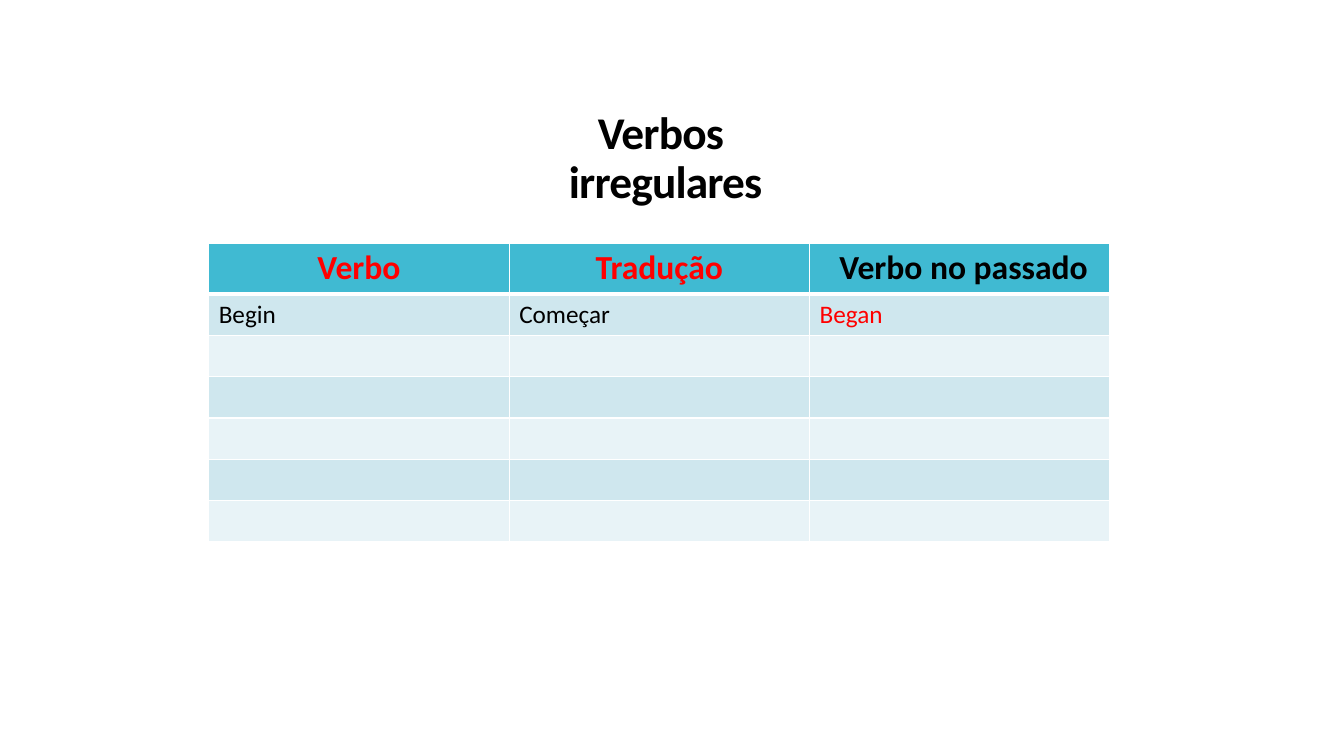
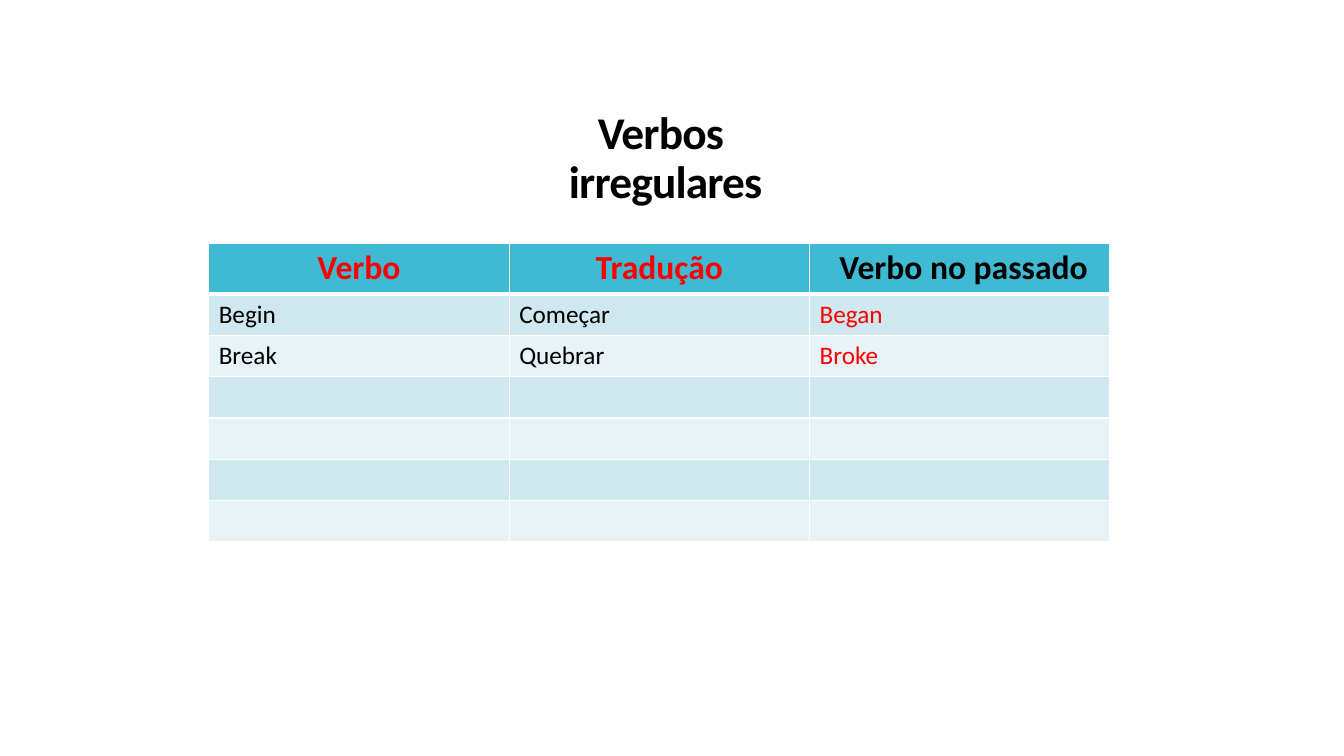
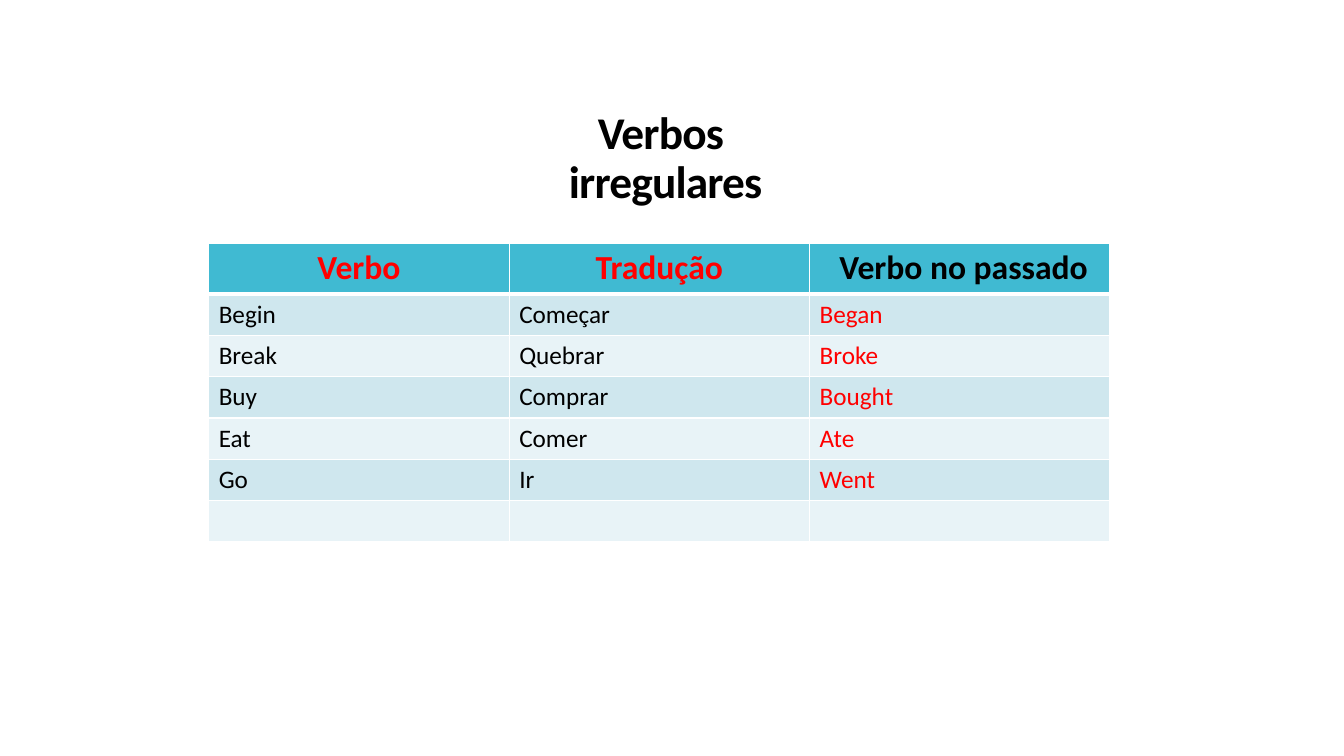
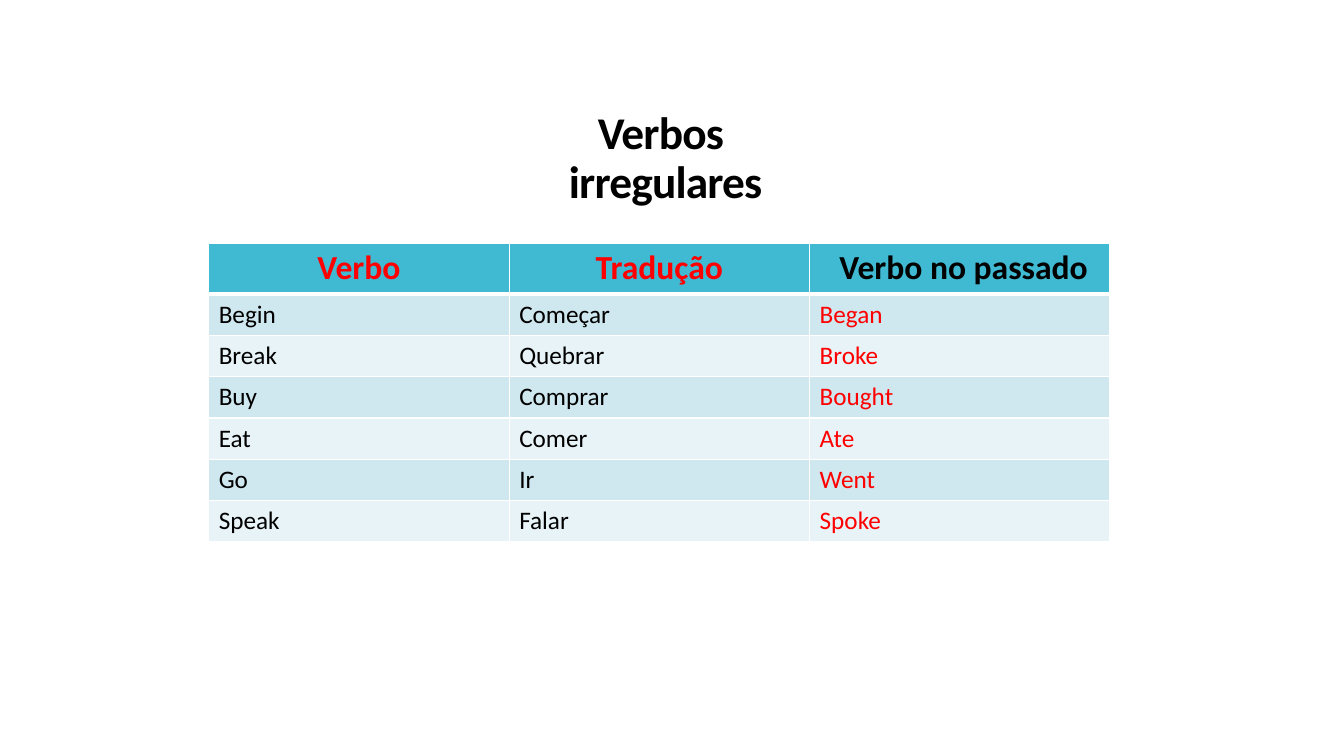
from lxml import etree
from pptx import Presentation
from pptx.dml.color import RGBColor
from pptx.enum import text as t
from pptx.oxml import ns
from pptx.util import Inches, Pt

FONT = "Calibri"
BLACK = RGBColor(0x00, 0x00, 0x00)
RED = RGBColor(0xFF, 0x00, 0x00)
WHITE = RGBColor(0xFF, 0xFF, 0xFF)
TEAL = RGBColor(0x40, 0xBA, 0xD2)
BANDS = [RGBColor(0xE8, 0xF3, 0xF7), RGBColor(0xCF, 0xE7, 0xEE)]

TITLE_LINES = ["Verbos", "\u00a0irregulares"]
HEADINGS = ["Verbo", "Tradução", "\u00a0Verbo\u00a0no passado"]
HEADING_COLORS = [RED, RED, BLACK]
VERBS = [
    ("Begin", "Começar", "Began"),
    ("Break", "Quebrar", "Broke"),
    ("Buy", "Comprar", "Bought"),
    ("Eat", "Comer", "Ate"),
    ("Go", "Ir", "Went"),
    ("Speak", "Falar", "Spoke"),
]
VERB_COLORS = [BLACK, BLACK, RED]
VERBS_SHOWN = [1, 2, 5, 6]
COLUMN_WIDTH = Inches(2.98)
HEADING_HEIGHT = Inches(0.5)
VERB_HEIGHT = Inches(0.41)


def add_run(paragraph, words, size, color, bold):
    """Add one run in the deck's font and return it."""
    run = paragraph.add_run()
    run.text = words
    run.font.name = FONT
    run.font.size = Pt(size)
    run.font.bold = bold
    run.font.color.rgb = color
    return run


def add_borders(cell, top, bottom):
    """Give a cell white borders, 1 pt wide at the sides."""
    properties = cell._tc.get_or_add_tcPr()
    for side, width in (("L", 1), ("R", 1), ("T", top), ("B", bottom)):
        line = etree.SubElement(properties, ns.qn(f"a:ln{side}"), w=str(Pt(width)))
        fill = etree.SubElement(line, ns.qn("a:solidFill"))
        etree.SubElement(fill, ns.qn("a:srgbClr"), val=str(WHITE))


deck = Presentation()
deck.slide_width = Inches(13.33)
deck.slide_height = Inches(7.5)

for shown in VERBS_SHOWN:
    slide = deck.slides.add_slide(deck.slide_layouts[6])

    title = slide.shapes.add_textbox(
        Inches(4.58), Inches(1.24), Inches(3.95), Inches(1.18)).text_frame
    title.word_wrap = True
    title.auto_size = t.MSO_AUTO_SIZE.NONE
    title.vertical_anchor = t.MSO_ANCHOR.MIDDLE
    title.margin_top = 0
    title.margin_bottom = Inches(0.5)
    heading = title.paragraphs[0]
    heading.alignment = t.PP_ALIGN.CENTER
    heading.line_spacing = 0.9
    for number, words in enumerate(TITLE_LINES):
        if number:
            heading.add_line_break()
        run = add_run(heading, words, 32.4, BLACK, True)
        run.font._element.set("spc", "-60")

    verb_table = slide.shapes.add_table(
        len(VERBS) + 1, len(HEADINGS), Inches(2.07), Inches(2.41),
        COLUMN_WIDTH * len(HEADINGS),
        HEADING_HEIGHT + VERB_HEIGHT * len(VERBS)).table
    for column in verb_table.columns:
        column.width = COLUMN_WIDTH

    for row_number, row in enumerate(verb_table.rows):
        is_heading = row_number == 0
        row.height = HEADING_HEIGHT if is_heading else VERB_HEIGHT
        entries = HEADINGS if is_heading else VERBS[row_number - 1]
        colors = HEADING_COLORS if is_heading else VERB_COLORS
        for cell, words, color in zip(row.cells, entries, colors):
            add_borders(cell, 3 if row_number == 1 else 1, 3 if is_heading else 1)
            cell.fill.solid()
            cell.fill.fore_color.rgb = TEAL if is_heading else BANDS[row_number % 2]
            if row_number <= shown:
                entry = cell.text_frame.paragraphs[0]
                entry.alignment = t.PP_ALIGN.CENTER if is_heading else t.PP_ALIGN.JUSTIFY
                add_run(entry, words, 24 if is_heading else 18, color, is_heading)

deck.save("out.pptx")
